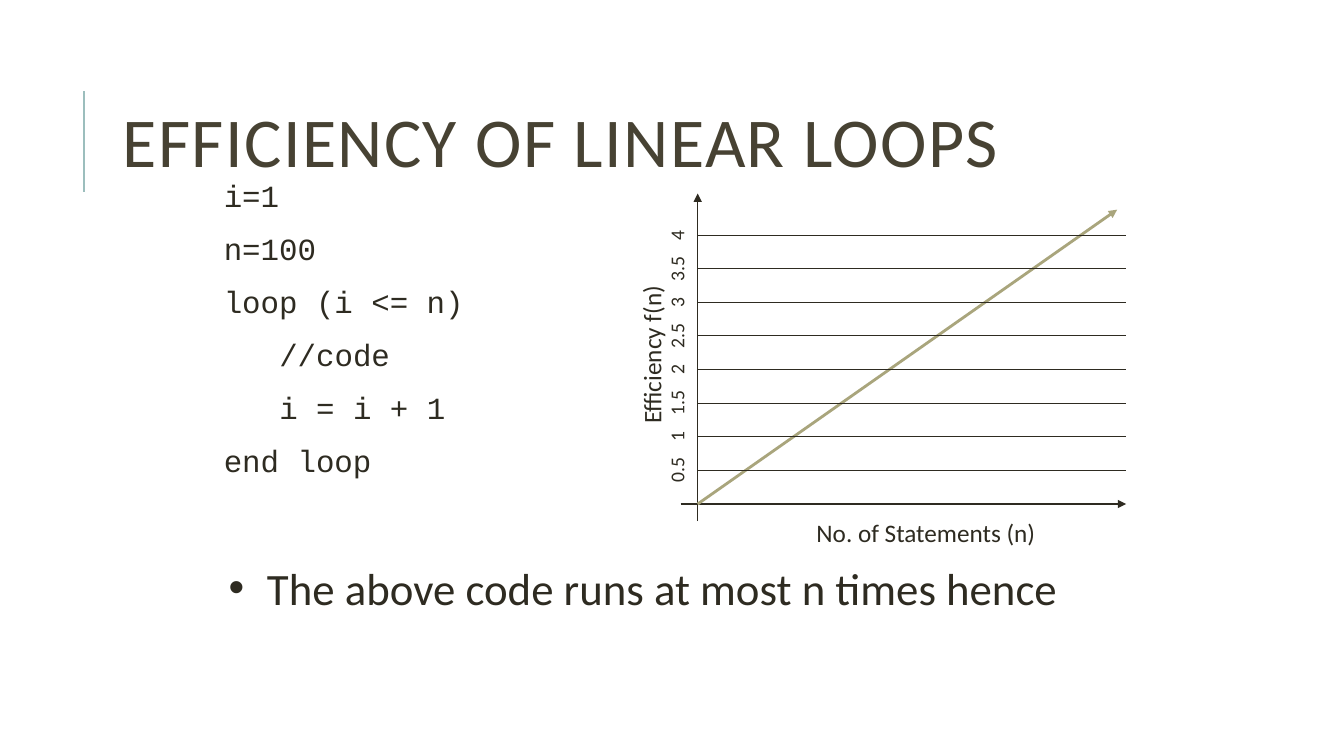
from dataclasses import dataclass

from lxml import etree
from pptx import Presentation
from pptx.dml.color import RGBColor
from pptx.enum.shapes import MSO_CONNECTOR
from pptx.enum.text import MSO_ANCHOR, PP_ALIGN
from pptx.oxml.ns import qn
from pptx.util import Inches, Pt

TITLE = "EFFICIENCY OF LINEAR LOOPS"
CODE = [  # (indent in characters, statement)
    (0, "i=1"),
    (0, "n=100"),
    (0, "loop (i <= n)"),
    (3, "//code"),
    (3, "i = i + 1"),
    (0, "end loop"),
]
CONCLUSION = "The above code runs at most n times hence"
X_TITLE, Y_TITLE = "No. of Statements (n)", "Efficiency f(n)"
TICKS = ["0.5", "1", "1.5", "2", "2.5", "3", "3.5", "4"]


@dataclass(frozen=True)
class Theme:
    ink: str = "2E2B21"
    heading: str = "474233"
    rule: str = "9CBEBD"
    curve: str = "A9A57C"
    sans: str = "Calibri"
    mono: str = "Courier New"
    title_size: int = 50
    body_size: int = 32
    code_size: int = 22
    axis_size: int = 18
    tick_size: int = 14


THEME = Theme()
ORIGIN_X, ORIGIN_Y = 6.92, 5
PLOT_RIGHT, PLOT_TOP = 11.17, 1.92
ROW = 1 / 3
OVERHANG = 0.17
CODE_CHAR = 0.6 * THEME.code_size / 72

prs = Presentation()
prs.slide_width, prs.slide_height = Inches(13.33), Inches(7.5)
slide = prs.slides.add_slide(prs.slide_layouts[6])


def add_line(start, end, color=THEME.ink, width=0.75, arrow=False):
    line = slide.shapes.add_connector(
        MSO_CONNECTOR.STRAIGHT, *(Inches(v) for v in (*start, *end)))
    line.line.color.rgb = RGBColor.from_string(color)
    line.line.width = Pt(width)
    if arrow:
        etree.SubElement(line.line._get_or_add_ln(), qn("a:tailEnd"), type="triangle")
    etree.SubElement(line._element.spPr, qn("a:effectLst"))


def add_text(lines, box, size, font=THEME.sans, color=THEME.ink,
             inset=(0.1, 0.05), anchor=MSO_ANCHOR.TOP, rotation=0, **paragraph_format):
    """Write one paragraph per line and return the paragraphs."""
    label = slide.shapes.add_textbox(*(Inches(v) for v in box))
    label.rotation = rotation
    frame = label.text_frame
    frame.word_wrap = True
    frame.vertical_anchor = anchor
    frame.margin_left = frame.margin_right = Inches(inset[0])
    frame.margin_top = frame.margin_bottom = Inches(inset[1])
    frame.text = "\n".join(lines)
    for paragraph in frame.paragraphs:
        for key, value in paragraph_format.items():
            setattr(paragraph, key, value)
        run_font = paragraph.runs[0].font
        run_font.name, run_font.size = font, Pt(size)
        run_font.color.rgb = RGBColor.from_string(color)
    return frame.paragraphs


def add_vertical_label(text, center, length, height, size):
    """Centre a label that reads upwards on a point."""
    box = (center[0] - length / 2, center[1] - height / 2, length, height)
    add_text([text], box, size, rotation=270, inset=(0, 0),
             anchor=MSO_ANCHOR.MIDDLE, alignment=PP_ALIGN.CENTER)


# Heading
add_line((0.83, 1.9), (0.83, 0.9), THEME.rule, 1.5)
heading = add_text([TITLE], (1.12, 0.64, 10.63, 1.64), THEME.title_size,
                   color=THEME.heading, anchor=MSO_ANCHOR.MIDDLE, line_spacing=0.8)
heading[0].runs[0].font._element.set("spc", "100")

# Code and conclusion
statements = add_text([text for _, text in CODE], (2.17, 1.75, 4, 3.83),
                      THEME.code_size, THEME.mono, inset=(0.05, 0.05),
                      line_spacing=0.9, space_before=Pt(12), space_after=Pt(2))
for statement, (indent, _) in zip(statements, CODE):
    statement._p.get_or_add_pPr().set("marL", str(Inches(indent * CODE_CHAR)))

conclusion = add_text([CONCLUSION], (2.17, 5.51, 9, 0.64), THEME.body_size)[0]
bullet_format = conclusion._p.get_or_add_pPr()
for key, value in {"marL": 0.38, "indent": -0.38}.items():
    bullet_format.set(key, str(Inches(value)))
etree.SubElement(bullet_format, qn("a:buFont"), typeface="Arial")
etree.SubElement(bullet_format, qn("a:buChar"), char="•")

# Graph
add_line((ORIGIN_X - OVERHANG, ORIGIN_Y), (PLOT_RIGHT, ORIGIN_Y), arrow=True)
add_line((ORIGIN_X, ORIGIN_Y + OVERHANG), (ORIGIN_X, PLOT_TOP), arrow=True)
add_text([X_TITLE], (8, 5.08, 2.5, 0.42), THEME.axis_size)
add_vertical_label(Y_TITLE, (6.46, 3.52), 2.5, 0.42, THEME.axis_size)
add_line((ORIGIN_X, ORIGIN_Y), (11.08, 2.08), THEME.curve, 2, arrow=True)
for row, tick in enumerate(TICKS, start=1):
    y = ORIGIN_Y - row * ROW
    add_line((ORIGIN_X, y), (PLOT_RIGHT, y))
    add_vertical_label(tick, (6.71, y), ROW, 0.3, THEME.tick_size)

prs.save("out.pptx")
